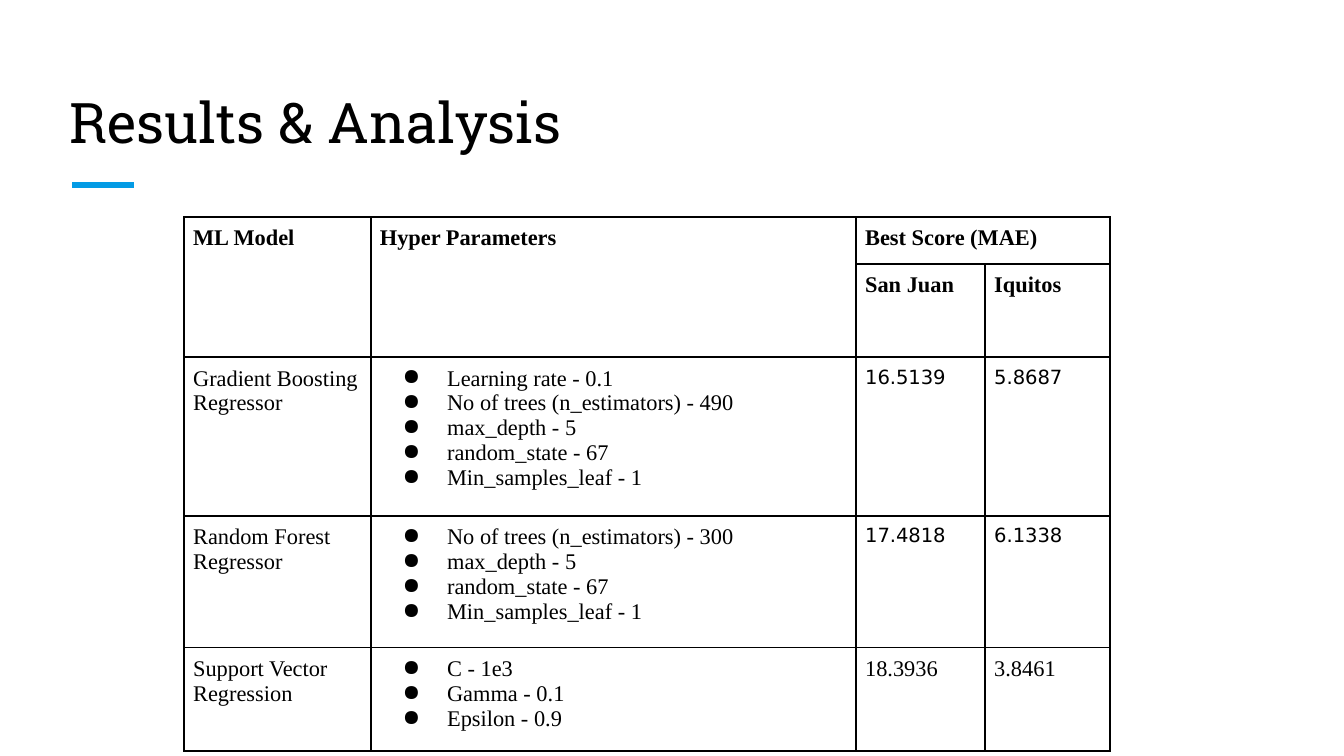
import lxml.etree
import pptx
import pptx.dml.color
import pptx.enum.shapes
import pptx.enum.text
import pptx.oxml.ns
import pptx.util

Cm = pptx.util.Cm
Pt = pptx.util.Pt
qn = pptx.oxml.ns.qn

COLOURS = {"ink": "000000", "accent": "039BE5", "paper": "FFFFFF"}
SERIF = "Times New Roman"
SANS = "DejaVu Sans"
COLUMN_WIDTHS = [3.53, 9.17, 2.44, 2.36]
ROW_HEIGHTS = [0.89, 1.76, 3.0, 2.49, 1.95]
MODELS = [
    ("Gradient Boosting Regressor",
     ["Learning rate - 0.1", "No of trees (n_estimators) - 490", "max_depth - 5",
      "random_state - 67", "Min_samples_leaf - 1"],
     ["16.5139", "5.8687"], SANS, 10.5),
    ("Random Forest Regressor",
     ["No of trees (n_estimators) - 300", "max_depth - 5", "random_state - 67",
      "Min_samples_leaf - 1"],
     ["17.4818", "6.1338"], SANS, 10.5),
    ("Support Vector Regression",
     ["C - 1e3", "Gamma - 0.1", "Epsilon - 0.9"],
     ["18.3936", "3.8461"], SERIF, 12),
]


def colour(name):
    return pptx.dml.color.RGBColor.from_string(COLOURS[name])


def style_text(frame, font, size, bold=False):
    for para in frame.paragraphs:
        for span in para.runs:
            span.font.name = font
            span.font.size = Pt(size)
            span.font.bold = bold
            span.font.color.rgb = colour("ink")


def add_title(page, text):
    box = page.shapes.add_textbox(Cm(1.07), Cm(1.27), Cm(23.24), Cm(1.9))
    frame = box.text_frame
    frame.word_wrap = True
    frame.vertical_anchor = pptx.enum.text.MSO_ANCHOR.BOTTOM
    frame.margin_left = frame.margin_right = Cm(0.25)
    frame.margin_top = frame.margin_bottom = Cm(0.25)
    frame.text = text
    style_text(frame, "Roboto Slab", 30)


def add_accent_line(page):
    line = page.shapes.add_connector(
        pptx.enum.shapes.MSO_CONNECTOR.STRAIGHT, Cm(1.37), Cm(3.5), Cm(2.54), Cm(3.5))
    line.line.color.rgb = colour("accent")
    line.line.width = Pt(3)
    lxml.etree.SubElement(line._element.spPr, qn("a:effectLst"))


def add_borders(cell):
    properties = cell._tc.get_or_add_tcPr()
    for index, side in enumerate(["a:lnL", "a:lnR", "a:lnT", "a:lnB"]):
        border = lxml.etree.Element(qn(side), w=str(Pt(1)))
        fill = lxml.etree.SubElement(border, qn("a:solidFill"))
        lxml.etree.SubElement(fill, qn("a:srgbClr"), val=COLOURS["ink"])
        properties.insert(index, border)


def add_bullets(frame):
    for para in frame.paragraphs:
        properties = para._p.get_or_add_pPr()
        properties.set("marL", str(Cm(1.27)))
        properties.set("indent", str(-Cm(0.84)))
        bullet_colour = lxml.etree.SubElement(properties, qn("a:buClr"))
        lxml.etree.SubElement(bullet_colour, qn("a:srgbClr"), val=COLOURS["ink"])
        lxml.etree.SubElement(properties, qn("a:buChar"), char="●")


def fill_cell(cell, text, font=SERIF, size=12, bold=False):
    cell.text_frame.text = text
    style_text(cell.text_frame, font, size, bold)


def add_results_table(page):
    frame = page.shapes.add_table(
        len(ROW_HEIGHTS), len(COLUMN_WIDTHS), Cm(3.48), Cm(4.1),
        Cm(sum(COLUMN_WIDTHS)), Cm(sum(ROW_HEIGHTS)))
    table = frame.table
    table.first_row = table.horz_banding = False
    for column, width in zip(table.columns, COLUMN_WIDTHS):
        column.width = Cm(width)
    for row, height in zip(table.rows, ROW_HEIGHTS):
        row.height = Cm(height)
    for cell in table.iter_cells():
        cell.margin_left = cell.margin_right = Cm(0.17)
        cell.margin_top = cell.margin_bottom = Cm(0.17)
        cell.fill.solid()
        cell.fill.fore_color.rgb = colour("paper")
        add_borders(cell)

    table.cell(0, 0).merge(table.cell(1, 0))
    table.cell(0, 1).merge(table.cell(1, 1))
    table.cell(0, 2).merge(table.cell(0, 3))
    for column, heading in enumerate(["ML Model", "Hyper Parameters", "Best Score (MAE)"]):
        fill_cell(table.cell(0, column), heading, bold=True)
    for column, city in enumerate(["San Juan", "Iquitos"], 2):
        fill_cell(table.cell(1, column), city, bold=True)

    for row, (model, parameters, scores, font, size) in enumerate(MODELS, 2):
        fill_cell(table.cell(row, 0), model)
        fill_cell(table.cell(row, 1), "\n".join(parameters))
        add_bullets(table.cell(row, 1).text_frame)
        for column, score in enumerate(scores, 2):
            fill_cell(table.cell(row, column), score, font, size)


def main():
    deck = pptx.Presentation()
    deck.slide_width = Cm(25.4)
    deck.slide_height = Cm(14.29)
    page = deck.slides.add_slide(deck.slide_layouts[6])
    page.background.fill.solid()
    page.background.fill.fore_color.rgb = colour("paper")
    add_accent_line(page)
    add_title(page, "Results & Analysis")
    add_results_table(page)
    deck.save("out.pptx")


if __name__ == "__main__":
    main()
